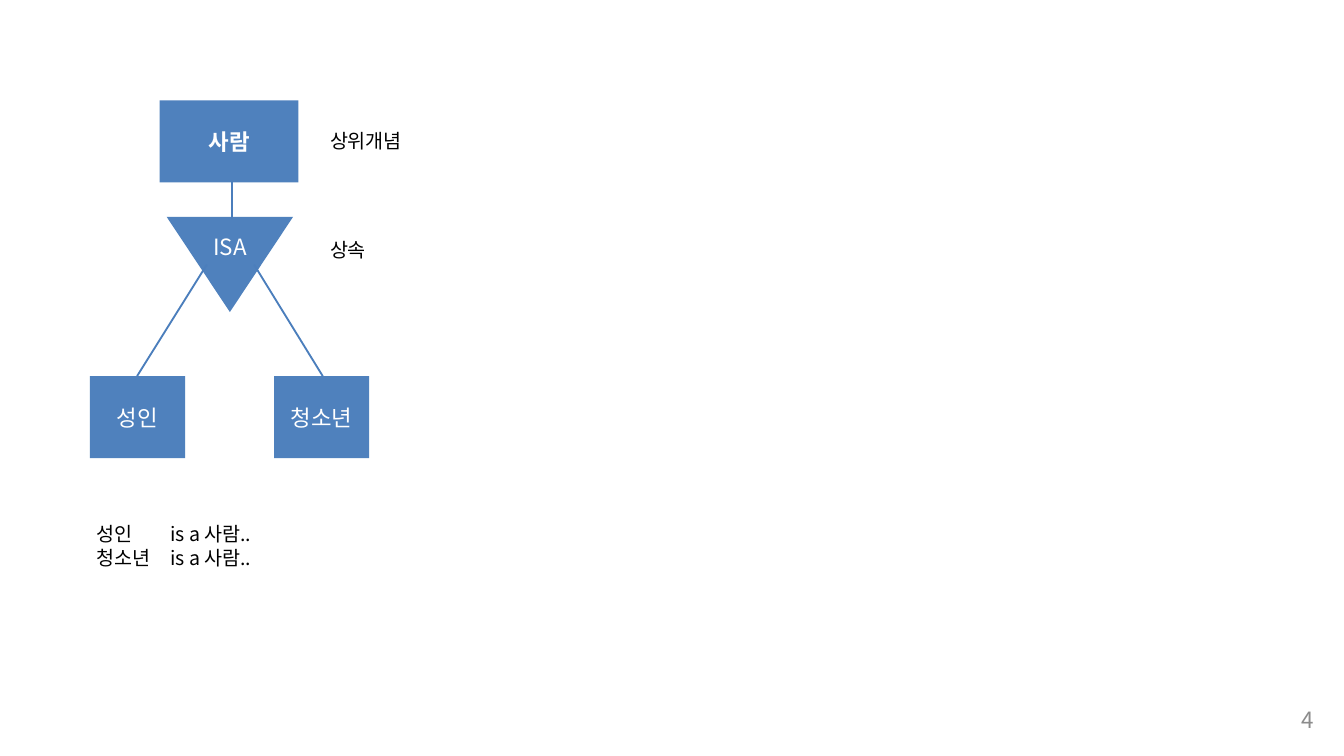
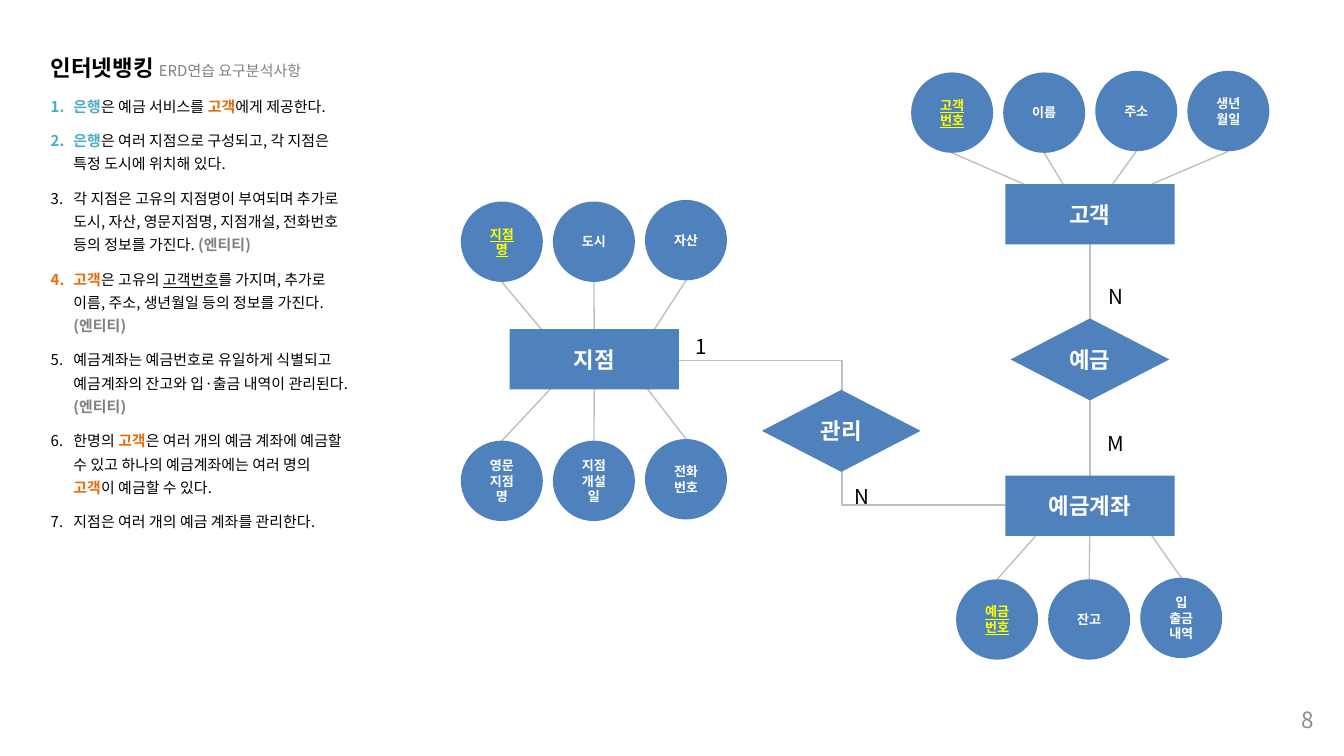
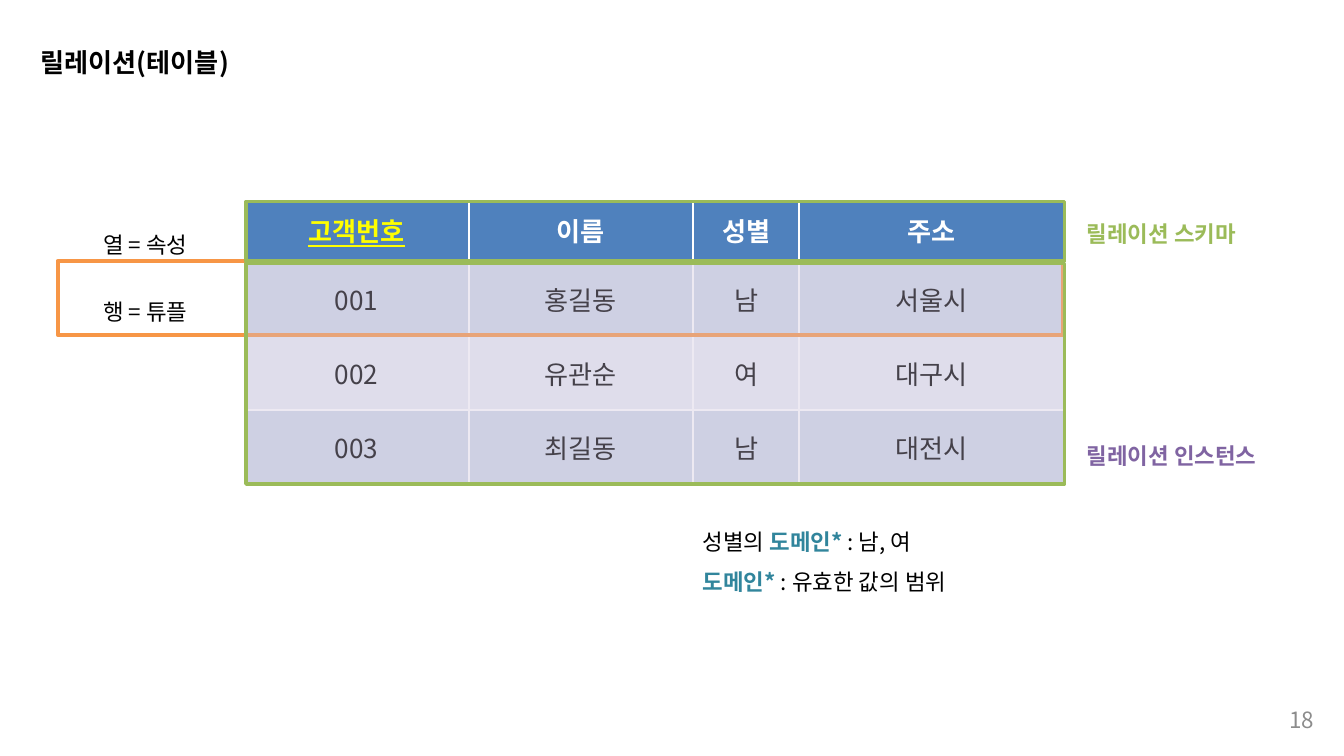
from dataclasses import dataclass
from typing import Any, NamedTuple, Optional

import lxml.etree
import pptx
import pptx.dml.color
import pptx.enum.shapes
import pptx.enum.text
import pptx.oxml.ns
import pptx.util

Cm = pptx.util.Cm
Pt = pptx.util.Pt
qn = pptx.oxml.ns.qn
MSO = pptx.enum.shapes.MSO_SHAPE
LINK = pptx.enum.shapes.MSO_CONNECTOR
ALIGN = pptx.enum.text.PP_ALIGN
ANCHOR = pptx.enum.text.MSO_ANCHOR

FONT = "Noto Sans CJK KR"
COLORS = {
    "black": "000000", "white": "FFFFFF", "blue": "4F81BD", "edge": "4B7EBC",
    "link": "BFBFBF", "key": "FFFF00", "page": "8C8C8C", "note": "808080",
    "bank": "4BACC6", "customer": "E46C0A", "domain": "31859C",
    "tuple": "F79646", "schema": "9BBB59", "instance": "8064A2",
    "veil": "CCC1DA", "odd": "D0D8E8", "even": "E9EDF4",
}


class Box(NamedTuple):
    left: float
    top: float
    width: float
    height: float


@dataclass(frozen=True)
class Span:
    text: str
    color: str = "black"
    bold: bool = False
    underline: bool = False
    size: Optional[float] = None


@dataclass(frozen=True)
class Para:
    align: Any = ALIGN.LEFT
    spacing: Optional[float] = None
    after: Optional[float] = None
    indent: float = 0
    numbered: bool = False
    tab: float = 0


@dataclass(frozen=True)
class Node:
    kind: Any
    box: Box
    label: Span


@dataclass(frozen=True)
class AttributeRow:
    left: float
    top: float
    foot_y: float
    feet: tuple[float, ...]
    names: tuple[str, ...]
    has_key: bool = True


PLAIN = Para()
CENTER = Para(align=ALIGN.CENTER)


def rgb(name: str) -> Any:
    return pptx.dml.color.RGBColor.from_string(COLORS[name])


def cm(values: tuple[float, ...]) -> list[Any]:
    return [Cm(v) for v in values]


def style(runs: Any, span: Span, size: float) -> None:
    for r in runs:
        r.font.size = Pt(span.size or size)
        r.font.bold = span.bold
        r.font.underline = span.underline
        r.font.color.rgb = rgb(span.color)
        r.font.name = FONT
        lxml.etree.SubElement(r.font._element, qn("a:ea"), typeface=FONT)


def write(p: Any, spans: list[Span], size: float, para: Para) -> None:
    p.text = spans[0].text
    style(p.runs, spans[0], size)
    for br in p._p.findall(qn("a:br")):
        lxml.etree.SubElement(br, qn("a:rPr"), sz=str(int(size * 100)))
    for span in spans[1:]:
        r = p.add_run()
        r.text = span.text
        style([r], span, size)
    p.alignment = para.align
    if para.spacing:
        p.line_spacing = para.spacing
    if para.after:
        p.space_after = Pt(para.after)
    pPr = p._p.get_or_add_pPr()
    if para.indent:
        pPr.set("marL", str(int(Cm(para.indent))))
        pPr.set("indent", str(-int(Cm(para.indent))))
    if para.numbered:
        lxml.etree.SubElement(pPr, qn("a:buAutoNum"), type="arabicPeriod")
    if para.tab:
        tabs = lxml.etree.SubElement(pPr, qn("a:tabLst"))
        lxml.etree.SubElement(tabs, qn("a:tab"), pos=str(int(Cm(para.tab))), algn="l")


def add_text(slide: Any, box: Box, lines: list[list[Span]], size: float,
             para: Para = PLAIN, anchor: Any = ANCHOR.TOP, flush: bool = False) -> Any:
    tf = slide.shapes.add_textbox(*cm(box)).text_frame
    tf.word_wrap = True
    tf.vertical_anchor = anchor
    if flush:
        tf.margin_top = 0
    for i, spans in enumerate(lines):
        p = tf.add_paragraph() if i else tf.paragraphs[0]
        write(p, spans, size, para)
    return tf


def add_node(slide: Any, node: Node, size: float = 12) -> Any:
    sp = slide.shapes.add_shape(node.kind, *cm(node.box))
    sp.shadow.inherit = False
    sp.fill.solid()
    sp.fill.fore_color.rgb = rgb("blue")
    sp.line.fill.background()
    if node.label.text:
        write(sp.text_frame.paragraphs[0], [node.label], size, CENTER)
    return sp


def add_frame(slide: Any, box: Box, color: str, fill: str = "", opacity: int = 100) -> None:
    sp = slide.shapes.add_shape(MSO.RECTANGLE, *cm(box))
    sp.shadow.inherit = False
    sp.line.color.rgb = rgb(color)
    sp.line.width = Pt(2)
    if not fill:
        sp.fill.background()
        return
    sp.fill.solid()
    sp.fill.fore_color.rgb = rgb(fill)
    clr = sp._element.spPr.find(qn("a:solidFill")).find(qn("a:srgbClr"))
    lxml.etree.SubElement(clr, qn("a:alpha"), val=str(opacity * 1000))


def add_link(slide: Any, ends: tuple[float, ...], color: str = "link",
             width: float = 0.75, kind: Any = LINK.STRAIGHT) -> None:
    line = slide.shapes.add_connector(kind, *cm(ends))
    line.line.color.rgb = rgb(color)
    line.line.width = Pt(width)
    lxml.etree.SubElement(line._element.spPr, qn("a:effectLst"))


def add_slide(prs: Any, number: int, titled: bool = False) -> Any:
    slide = prs.slides.add_slide(prs.slide_layouts[5 if titled else 6])
    add_text(slide, Box(23.67, 13.23, 1.42, 0.76), [[Span(str(number), "page")]],
             12, Para(align=ALIGN.RIGHT), ANCHOR.MIDDLE)
    return slide


def build_inheritance(prs: Any) -> None:
    slide = add_slide(prs, 4)
    add_node(slide, Node(MSO.RECTANGLE, Box(3.02, 1.9, 2.62, 1.55), Span("사람", "white", True)))
    triangle = add_node(slide, Node(MSO.ISOSCELES_TRIANGLE, Box(3.15, 4.1, 2.39, 1.8), Span("")))
    triangle._element.spPr.get_or_add_xfrm().set("flipV", "1")
    add_text(slide, Box(3.45, 4.29, 1.8, 0.76), [[Span("ISA", "white")]], 12, CENTER)
    for left, name in ((1.7, "성인"), (5.18, "청소년")):
        add_node(slide, Node(MSO.RECTANGLE, Box(left, 7.11, 1.8, 1.55), Span(name, "white")))
    for ends in ((4.39, 3.43, 4.39, 4.14), (3.91, 5, 2.59, 7.11), (6.1, 7.11, 4.8, 5)):
        add_link(slide, ends, "edge", 1)
    for top, name in ((2.31, "상위개념"), (4.37, "상속")):
        add_text(slide, Box(5.99, top, 4.52, 0.72), [[Span(name)]], 10.5)
    add_text(slide, Box(1.57, 9.75, 4.52, 1.14),
             [[Span(f"{name}\tis a 사람..")] for name in ("성인", "청소년")], 10.5, Para(tab=1.4))


OVAL_W, OVAL_H, OVAL_STEP = 1.55, 1.52, 1.74

ROWS = [
    AttributeRow(8.71, 3.81, 6.5, (10.46, 11.23, 12.19), ("지점명", "도시", "자산")),
    AttributeRow(8.71, 8.33, 7.29, (10.46, 11.23, 12.19),
                 ("영문\v지점명", "지점\v개설일", "전화\v번호"), False),
    AttributeRow(17.22, 1.37, 3.48, (19.35, 20.09, 21.03, 21.77),
                 ("고객\v번호", "이름", "주소", "생년월일")),
    AttributeRow(18.07, 10.95, 9.83, (19.84, 20.6, 21.56),
                 ("예금\v번호", "잔고", "입\v출금\v내역")),
]

NODES = [
    Node(kind, Box(left, top, *size), Span(name, "white", True))
    for kind, size, places in (
        (MSO.RECTANGLE, (3.2, 1.14),
         ((9.63, 6.22, "지점"), (19, 3.48, "고객"), (19, 8.99, "예금계좌"))),
        (MSO.DIAMOND, (3, 1.55), ((19.1, 6.02, "예금"), (14.4, 7.37, "관리"))),
    )
    for left, top, name in places
]

BANK = Span("은행", "bank", True)
CUSTOMER = Span("고객", "customer", True)
ENTITY = Span("(엔티티)", "note", True)

REQUIREMENTS = [
    [BANK, Span("은 예금 서비스를 "), CUSTOMER, Span("에게 제공한다.")],
    [BANK, Span("은 여러 지점으로 구성되고, 각 지점은 특정 도시에 위치해 있다.")],
    [Span("각 지점은 고유의 지점명이 부여되며 추가로 도시, 자산, 영문지점명, 지점개설, "
          "전화번호 등의 정보를 가진다. "), ENTITY],
    [CUSTOMER, Span("은 고유의 "), Span("고객번호", underline=True),
     Span("를 가지며, 추가로 이름, 주소, 생년월일 등의 정보를 가진다. "), ENTITY],
    [Span("예금계좌는 예금번호로 유일하게 식별되고 예금계좌의 잔고와 입·출금 내역이 관리된다. "),
     ENTITY],
    [Span("한명의 "), CUSTOMER,
     Span("은 여러 개의 예금 계좌에 예금할 수 있고 하나의 예금계좌에는 여러 명의 "),
     CUSTOMER, Span("이 예금할 수 있다.")],
    [Span("지점은 여러 개의 예금 계좌를 관리한다.")],
]


def add_attributes(slide: Any, row: AttributeRow) -> None:
    for i, (foot, name) in enumerate(zip(row.feet, row.names)):
        left = row.left + i * OVAL_STEP
        top = row.top - (0.03 if i >= 2 else 0)
        edge = top + OVAL_H if row.foot_y > top else top
        add_link(slide, (left + OVAL_W / 2, edge, foot, row.foot_y))
        key = row.has_key and i == 0
        label = Span(name, "key" if key else "white", True, key)
        add_node(slide, Node(MSO.OVAL, Box(left, top, OVAL_W, OVAL_H), label), 7)


def build_banking(prs: Any) -> None:
    slide = add_slide(prs, 8)
    for row in ROWS:
        add_attributes(slide, row)
    add_link(slide, (20.6, 4.62, 20.6, 8.99))
    add_link(slide, (12.83, 6.81, 19, 9.55), kind=LINK.ELBOW)
    for node in NODES:
        add_node(slide, node)
    for left, top, height, mark, align in (
        (20.5, 5.16, 0.41, "N", ALIGN.CENTER), (20.5, 7.9, 0.51, "M", ALIGN.CENTER),
        (15.9, 8.94, 0.41, "N", ALIGN.LEFT), (12.9, 6.1, 0.41, "1", ALIGN.LEFT),
    ):
        add_text(slide, Box(left, top, 1.17, height), [[Span(mark)]], 11,
                 Para(align, spacing=2, indent=0.25), ANCHOR.MIDDLE)
    heading = [Span("인터넷뱅킹 ", bold=True, size=12), Span("ERD연습 요구분석사항", "note")]
    tf = add_text(slide, Box(0.71, 0.74, 6.2, 9.53), [heading], 8, Para(spacing=1.3, after=6))
    for spans in REQUIREMENTS:
        write(tf.add_paragraph(), spans, 8, Para(spacing=1.3, after=6, indent=0.43, numbered=True))


COLUMNS = (4.24, 4.24, 2, 5)
HEIGHTS = (1.19, 1.4, 1.4, 1.4)
CUSTOMERS = (
    ("고객번호", "이름", "성별", "주소"),
    ("001", "홍길동", "남", "서울시"),
    ("002", "유관순", "여", "대구시"),
    ("003", "최길동", "남", "대전시"),
)


def fill_cell(cell: Any, label: Span, fill: str, header: bool) -> None:
    write(cell.text_frame.paragraphs[0], [label], 14, CENTER)
    cell.vertical_anchor = ANCHOR.MIDDLE
    tcPr = cell._tc.get_or_add_tcPr()
    for side in ("lnL", "lnR", "lnT", "lnB"):
        width = Pt(3 if header and side == "lnB" else 1)
        ln = lxml.etree.SubElement(tcPr, qn(f"a:{side}"), w=str(int(width)))
        solid = lxml.etree.SubElement(ln, qn("a:solidFill"))
        lxml.etree.SubElement(solid, qn("a:srgbClr"), val=COLORS["white"])
    cell.fill.solid()
    cell.fill.fore_color.rgb = rgb(fill)


def add_customers(slide: Any) -> None:
    box = Box(4.62, 3.76, sum(COLUMNS), sum(HEIGHTS))
    table = slide.shapes.add_table(len(HEIGHTS), len(COLUMNS), *cm(box)).table
    for column, width in zip(table.columns, COLUMNS):
        column.width = Cm(width)
    for i, (height, values) in enumerate(zip(HEIGHTS, CUSTOMERS)):
        table.rows[i].height = Cm(height)
        header = i == 0
        fill = "blue" if header else ("odd" if i % 2 else "even")
        for j, value in enumerate(values):
            key = header and j == 0
            color = "key" if key else ("white" if header else "black")
            fill_cell(table.cell(i, j), Span(value, color, header, key), fill, header)


def build_relation(prs: Any) -> None:
    slide = add_slide(prs, 18, titled=True)
    title = slide.shapes.title
    title.left, title.top, title.width, title.height = cm((0.51, 0.74, 4.8, 0.86))
    title.text_frame.vertical_anchor = ANCHOR.TOP
    title.text_frame.auto_size = pptx.enum.text.MSO_AUTO_SIZE.NONE
    write(title.text_frame.paragraphs[0], [Span("릴레이션(테이블)", bold=True)], 14, PLAIN)
    add_customers(slide)
    add_text(slide, Box(1.7, 3.61, 3, 3.61), [[Span("열 = 속성")], [Span("행 = 튜플")]],
             12, Para(spacing=2.5), flush=True)
    add_frame(slide, Box(1.09, 4.93, 19, 1.4), "tuple")
    domain = Span("도메인* ", "domain", True)
    add_text(slide, Box(13.03, 9.73, 5.69, 2.21),
             [[Span("성별의 "), domain, Span(": 남, 여")], [domain, Span(": 유효한 값의 범위")]],
             12, Para(spacing=1.5), flush=True)
    add_frame(slide, Box(4.65, 3.81, 15.47, 1.12), "schema")
    add_frame(slide, Box(4.65, 4.98, 15.47, 4.17), "schema", "veil", 34)
    for top, name, color in ((3.78, "릴레이션 스키마", "schema"),
                             (7.98, "릴레이션 인스턴스", "instance")):
        add_text(slide, Box(20.29, top, 4.04, 1.14), [[Span(name, color, True)]],
                 12, Para(spacing=1.5), ANCHOR.MIDDLE, flush=True)


def main() -> None:
    prs = pptx.Presentation()
    prs.slide_width, prs.slide_height = Cm(25.4), Cm(14.29)
    build_inheritance(prs)
    build_banking(prs)
    build_relation(prs)
    prs.save("out.pptx")


if __name__ == "__main__":
    main()
